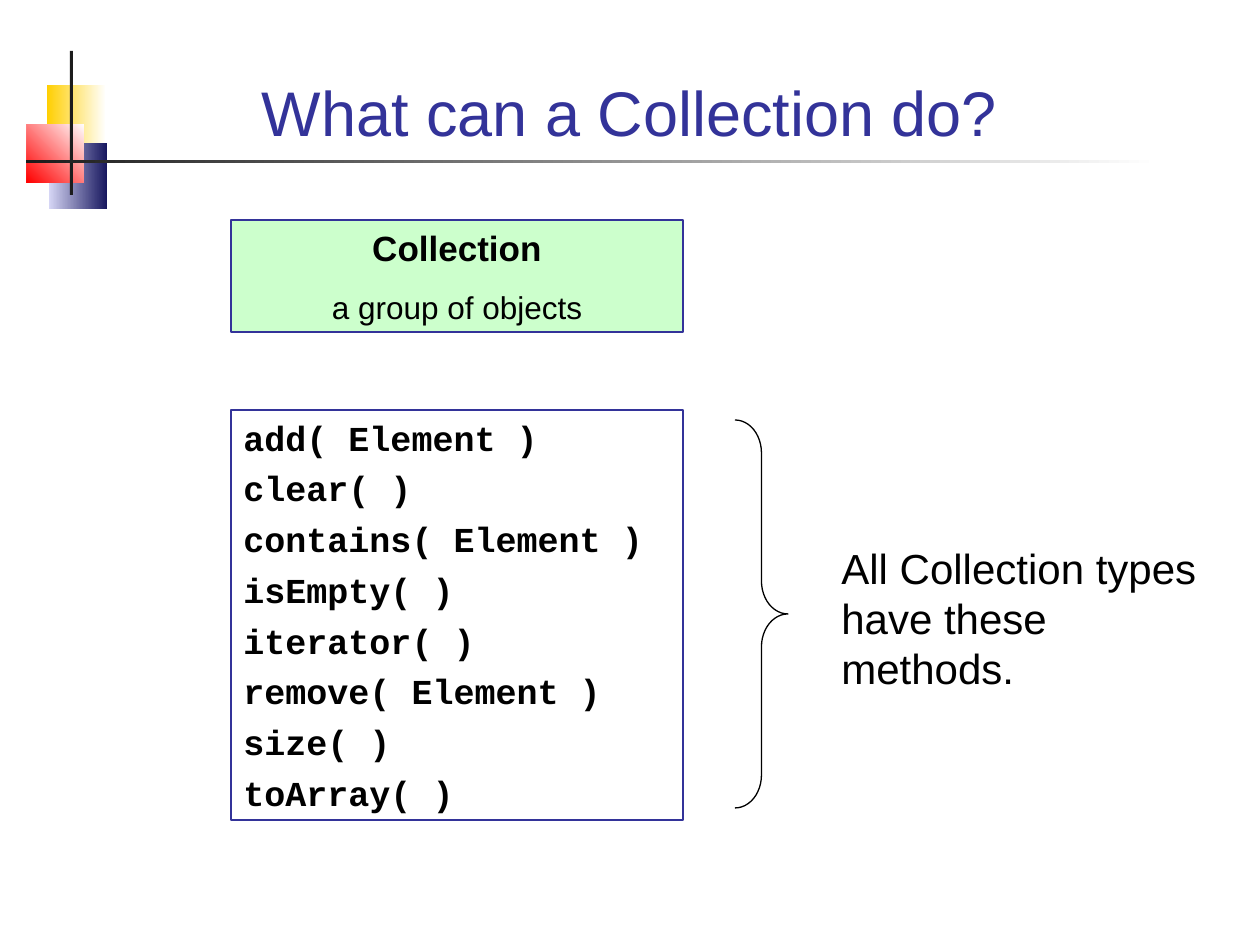
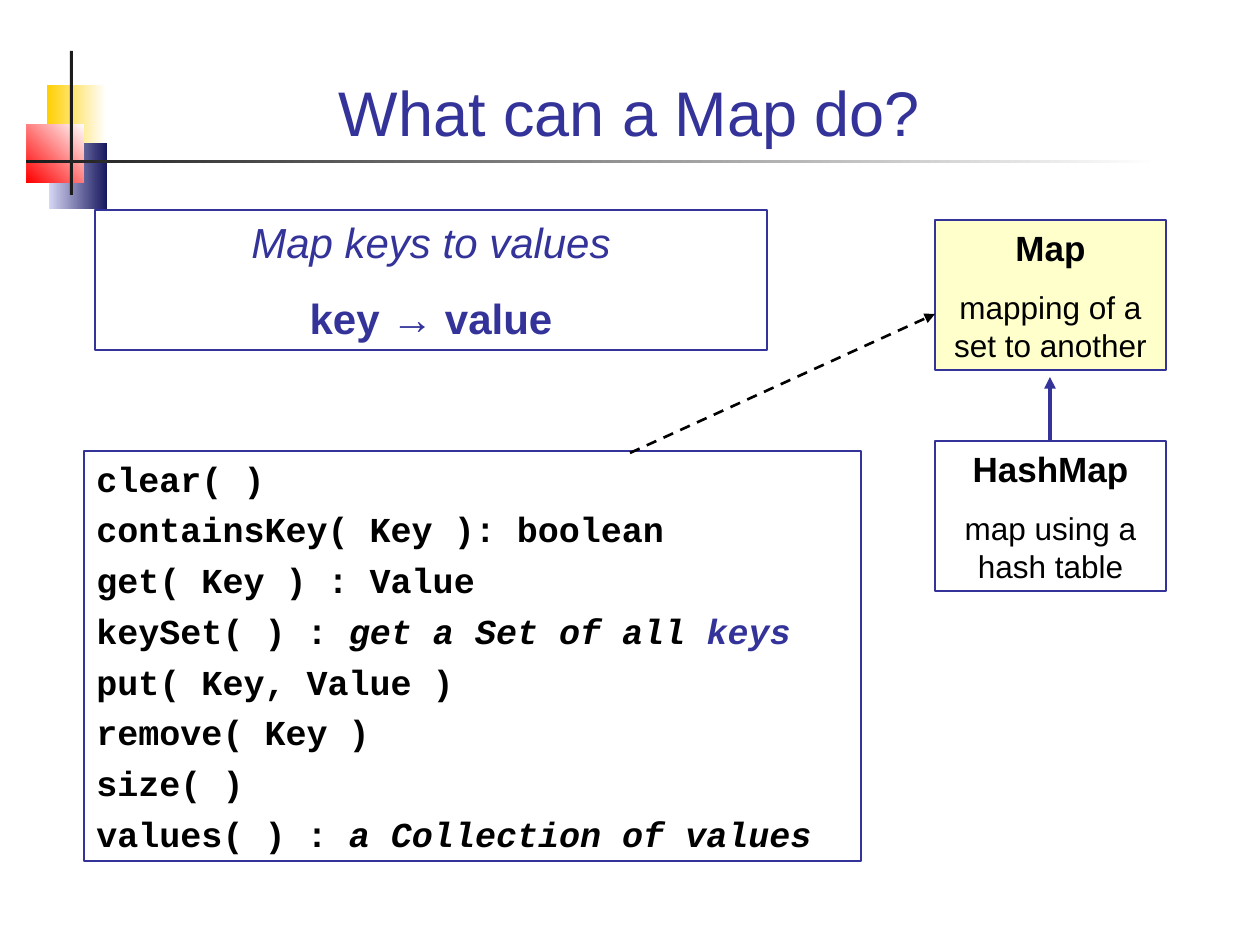
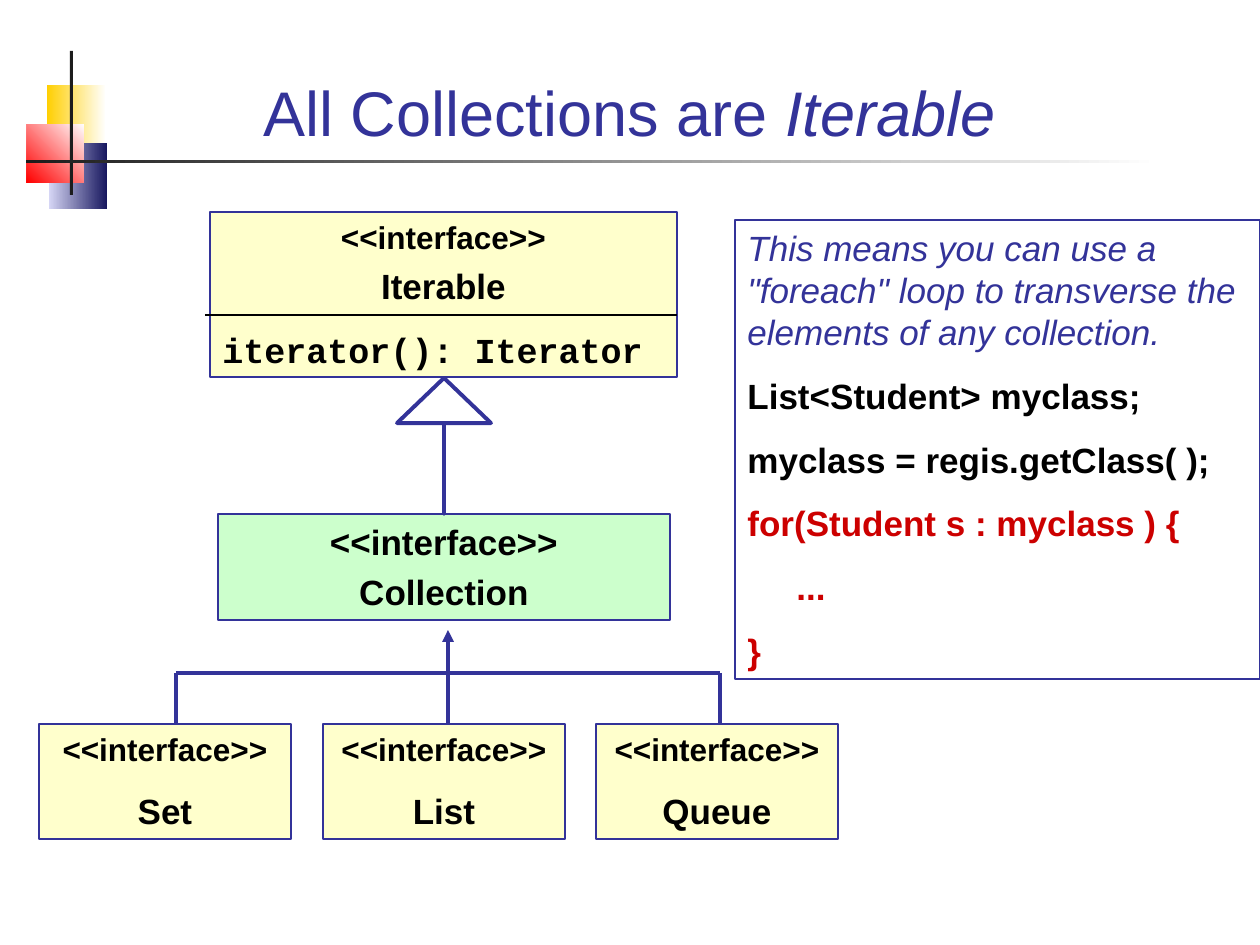
from dataclasses import dataclass

from lxml import etree
from pptx import Presentation
from pptx.dml.color import RGBColor
from pptx.enum import dml, shapes, text
from pptx.oxml import ns
from pptx.util import Emu, Pt

SCALE = 914400 / 126  # EMU in one px

NAVY = RGBColor(0x33, 0x33, 0x99)
BLACK = RGBColor(0, 0, 0)
WHITE = RGBColor(0xFF, 0xFF, 0xFF)
GREEN = RGBColor(0xCC, 0xFF, 0xCC)
CREAM = RGBColor(0xFF, 0xFF, 0xCC)
CRIMSON = RGBColor(0xCC, 0, 0)
GOLD = RGBColor(0xFF, 0xCF, 0x01)
RED = RGBColor(0xFF, 0, 0)
INK = RGBColor(0x17, 0x17, 0x5E)
LILAC = RGBColor(0xD6, 0xD6, 0xF5)
COAL = RGBColor(0x1C, 0x1C, 0x1C)

SANS, MONO = "Arial", "Courier New"
LEFT, MID = text.PP_ALIGN.LEFT, text.PP_ALIGN.CENTER
RECT = shapes.MSO_SHAPE.RECTANGLE
TYPE = "<<interface>>"


@dataclass
class Para:
    """One paragraph: a string, or a list of (string, italic, colour) runs."""
    words: object
    size: int = 20
    bold: bool = False
    slant: bool = False
    color: RGBColor = BLACK
    face: str = SANS
    align: object = LEFT
    gap: float = 12.5
    tab: int = 0


def px(*nums):
    return [Emu(round(n * SCALE)) for n in nums]


def style(font, slant, color):
    font.italic = slant
    font.color.rgb = color


# Text
def write(shape, paras, anchor=text.MSO_ANCHOR.TOP):
    frame = shape.text_frame
    frame.word_wrap = True
    frame.vertical_anchor = anchor
    for i, item in enumerate(paras):
        para = frame.add_paragraph() if i else frame.paragraphs[0]
        para.alignment = item.align
        para.space_before = Pt(item.gap if i else 0)
        if item.tab:
            tabs = etree.SubElement(para._p.get_or_add_pPr(), ns.qn("a:tabLst"))
            etree.SubElement(tabs, ns.qn("a:tab"), pos=str(px(item.tab)[0]), algn="l")
        font = para.font
        font.name, font.size, font.bold = item.face, Pt(item.size), item.bold
        if isinstance(item.words, str):
            style(font, item.slant, item.color)
            para.add_run().text = item.words
        else:
            for words, slant, color in item.words:
                run = para.add_run()
                run.text = words
                style(run.font, slant, color)


def label(slide, area, paras, anchor=text.MSO_ANCHOR.TOP):
    write(slide.shapes.add_textbox(*px(*area)), paras, anchor)


# Shapes
def draw(slide, kind, area, fill=None, line=None, width=1.5):
    shape = slide.shapes.add_shape(kind, *px(*area))
    shape.shadow.inherit = False
    if fill is None:
        shape.fill.background()
    else:
        shape.fill.solid()
        shape.fill.fore_color.rgb = fill
    if line is None:
        shape.line.fill.background()
    else:
        shape.line.color.rgb = line
        shape.line.width = Pt(width)
    return shape


def box(slide, area, paras, fill=None, width=1.5):
    write(draw(slide, RECT, area, fill, NAVY, width), paras)


def fade(slide, area, start, end, angle=180):
    fill = draw(slide, RECT, area).fill
    fill.gradient()
    fill.gradient_angle = angle
    for stop, color in zip(fill.gradient_stops, (start, end)):
        stop.color.rgb = color


def link(slide, ends, color=NAVY, width=2.25, arrow=False, dash=False):
    wire = slide.shapes.add_connector(shapes.MSO_CONNECTOR.STRAIGHT, *px(*ends))
    wire.line.color.rgb = color
    wire.line.width = Pt(width)
    if dash:
        wire.line.dash_style = dml.MSO_LINE.DASH
    if arrow:
        etree.SubElement(wire.line._get_or_add_ln(), ns.qn("a:tailEnd"), type="triangle")
    etree.SubElement(wire._element.spPr, ns.qn("a:effectLst"))


# Kinds of box
def card(slide, area, name, note, fill=None):
    box(slide, area, [Para(name, bold=True, align=MID),
                      Para(note, 18, align=MID, gap=11.2)], fill)


def face(slide, area, name, fill=CREAM, size=18, gap=12.5, more=()):
    box(slide, area, [Para(TYPE, size, True, align=MID),
                      Para(name, bold=True, align=MID, gap=gap), *more], fill)


def code(slide, area, lines):
    box(slide, area, [Para(line, bold=True, face=MONO, gap=5) for line in lines],
        width=0.75)


# Shared corner squares, rule and title
def start(deck, title):
    slide = deck.slides.add_slide(deck.slide_layouts[6])
    fade(slide, (47, 85, 59, 65), WHITE, GOLD)
    fade(slide, (49, 143, 58, 66), INK, LILAC)
    fade(slide, (27, 124, 57, 59), WHITE, RED, 225)
    draw(slide, RECT, (70, 51, 3, 144), COAL)
    fade(slide, (26, 160, 1133, 3), WHITE, COAL)
    label(slide, (84, 35, 1091, 120),
          [Para(title, 36, color=NAVY, align=MID)], text.MSO_ANCHOR.BOTTOM)
    return slide


def group(deck):
    slide = start(deck, "What can a Collection do?")
    card(slide, (231, 220, 452, 112), "Collection", "a group of objects", GREEN)
    code(slide, (231, 410, 452, 410), [
        "add( Element )", "clear( )", "contains( Element )", "isEmpty( )",
        "iterator( )", "remove( Element )", "size( )", "toArray( )"])
    brace = draw(slide, shapes.MSO_SHAPE.RIGHT_BRACE, (735, 420, 53, 388),
                 line=BLACK, width=0.75)
    brace.adjustments[0] = 0.62
    label(slide, (829, 536, 388, 164),
          [Para("All Collection types have these methods.", 24)])


def pairs(deck):
    slide = start(deck, "What can a Map do?")
    card(slide, (935, 220, 231, 150), "Map", "mapping of a set to another", CREAM)
    card(slide, (935, 441, 231, 150), "HashMap", "map using a hash table")
    link(slide, (1050, 442, 1050, 377), arrow=True)
    code(slide, (84, 451, 777, 410), [
        "clear( )", "containsKey( Key ): boolean", "get( Key ) : Value",
        [("keySet( ) : ", False, BLACK), ("get a Set of all ", True, BLACK),
         ("keys", True, NAVY)],
        "put( Key, Value )", "remove( Key )", "size( )",
        [("values( ) : ", False, BLACK), ("a Collection of values", True, BLACK)]])
    box(slide, (95, 210, 672, 140), [
        Para("Map keys to values", 24, slant=True, color=NAVY, align=MID),
        Para("key → value", 24, True, color=NAVY, align=MID, gap=15)], width=0.75)
    link(slide, (630, 453, 935, 314), BLACK, 1.5, arrow=True, dash=True)


def loops(deck):
    slide = start(deck, [("All Collections are ", False, NAVY),
                         ("Iterable", True, NAVY)])
    # Interfaces
    face(slide, (218, 514, 452, 106), "Collection", GREEN, 20, 5)
    face(slide, (210, 212, 467, 165), "Iterable", gap=5,
         more=[Para("iterator(): Iterator", bold=True, face=MONO)])
    link(slide, (205, 315, 677, 315), BLACK, 0.75)
    for name, left, width in (("Set", 39, 252), ("List", 323, 242), ("Queue", 596, 242)):
        face(slide, (left, 724, width, 115), name)

    # Tree from the three kinds up to Collection
    stems = (176, 448, 720)
    link(slide, (stems[0], 673, stems[-1], 673))
    link(slide, (stems[1], 673, stems[1], 630), arrow=True)
    for x in stems:
        link(slide, (x, 673, x, 723))
    arrow = draw(slide, shapes.MSO_SHAPE.UP_ARROW, (397, 378, 94, 136),
                 line=NAVY, width=2.25)
    arrow.adjustments[0], arrow.adjustments[1] = 0, 0.48

    # Loop
    box(slide, (735, 220, 525, 459), [
        Para('This means you can use a "foreach" loop to transverse the '
             "elements of any collection.", slant=True, color=NAVY),
        Para("List<Student> myclass;", bold=True),
        Para("myclass = regis.getClass( );", bold=True),
        Para("for(Student s : myclass ) {", bold=True, color=CRIMSON),
        Para("\t...", bold=True, color=CRIMSON, tab=49),
        Para("}", bold=True, color=CRIMSON)], width=0.75)


def main():
    deck = Presentation()
    deck.slide_width, deck.slide_height = px(1260, 945)
    for build in (group, pairs, loops):
        build(deck)
    deck.save("out.pptx")


if __name__ == "__main__":
    main()
